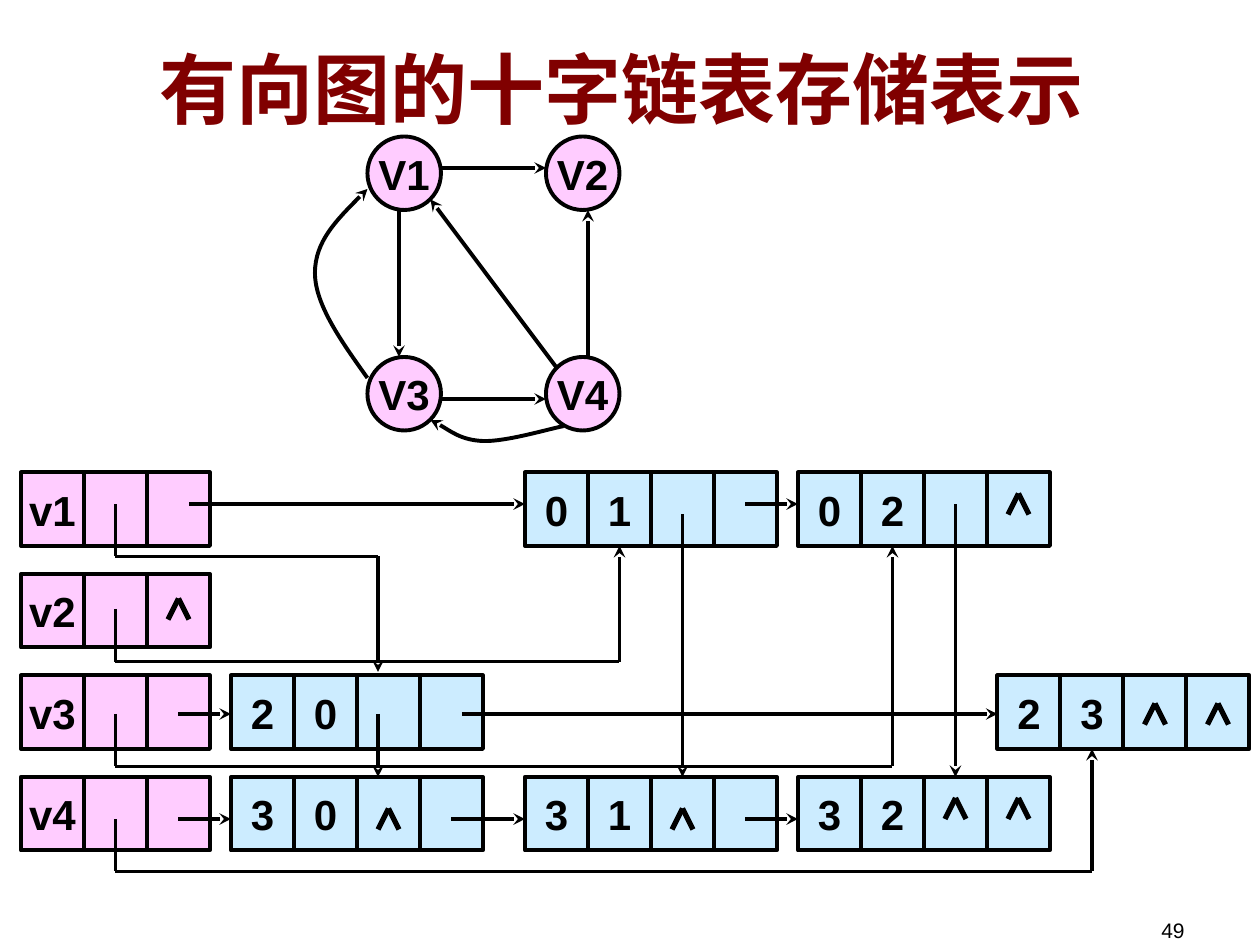
from lxml import etree
from pptx import Presentation
from pptx.dml.color import RGBColor
from pptx.enum.shapes import MSO_CONNECTOR, MSO_SHAPE
from pptx.enum.text import MSO_ANCHOR, PP_ALIGN
from pptx.oxml.ns import qn
from pptx.util import Pt

STRAIGHT = MSO_CONNECTOR.STRAIGHT
OVAL, RECT = MSO_SHAPE.OVAL, MSO_SHAPE.RECTANGLE
MIDDLE, BOTTOM = MSO_ANCHOR.MIDDLE, MSO_ANCHOR.BOTTOM
CENTER, RIGHT = PP_ALIGN.CENTER, PP_ALIGN.RIGHT
rgb = RGBColor.from_string
BLACK, PINK, BLUE = "000000", "FFCCFF", "CCECFF"
CELL_W, CELL_H = 36, 42
ROWS = [270 + 58 * i for i in range(4)]

prs = Presentation()
prs.slide_width, prs.slide_height = Pt(720), Pt(540)
slide = prs.slides.add_slide(prs.slide_layouts[6])
shapes = slide.shapes
joins = {}  # middle of a cell's top or bottom side -> (cell, site)


def add_box(kind, x, y, w, h, fill, text):
    s = shapes.add_shape(kind, Pt(x), Pt(y), Pt(w), Pt(h))
    s.shadow.inherit = False
    s.fill.solid()
    s.fill.fore_color.rgb = rgb(fill)
    s.line.color.rgb = rgb(BLACK)
    s.line.width = Pt(2.25)
    if text:
        tf = s.text_frame
        tf.word_wrap = False
        tf.vertical_anchor = MIDDLE
        p = tf.paragraphs[0]
        p.text = text
        p.alignment = CENTER
        p.font.name, p.font.size, p.font.bold = "Arial", Pt(24), True
        p.font.color.rgb = rgb(BLACK)
    return s


def add_line(x1, y1, x2, y2, width=2.25, arrow=False):
    c = shapes.add_connector(STRAIGHT, Pt(x1), Pt(y1), Pt(x2), Pt(y2))
    c.line.color.rgb = rgb(BLACK)
    c.line.width = Pt(width)
    sp_pr = c._element.spPr
    if arrow:
        etree.SubElement(sp_pr.find(qn("a:ln")), qn("a:tailEnd"), type="stealth")
    etree.SubElement(sp_pr, qn("a:effectLst"))
    if arrow and (x2, y2) in joins:
        c.end_connect(*joins[x2, y2])


# Title and page number
for text, x, y, w, h, anchor, align, font, size, bold, color in [
    ("49", 516, 506, 168, 36, BOTTOM, RIGHT, "Arial", 12, False, BLACK),
    ("有向图的十字链表存储表示 ", 36.5, 9.5, 648, 81, MIDDLE, CENTER,
     "Times New Roman", 44, True, "800000"),
]:
    tf = shapes.add_textbox(Pt(x), Pt(y), Pt(w), Pt(h)).text_frame
    tf.word_wrap = True
    tf.vertical_anchor = anchor
    p = tf.paragraphs[0]
    p.text = text
    p.alignment = align
    p.font.name, p.font.size, p.font.bold = font, Pt(size), bold
    p.font.color.rgb = rgb(color)

# Directed graph: straight edges, then vertices on top
for edge in [
    (246, 96, 312, 96),    # V1 -> V2
    (228, 120, 228, 204),  # V1 -> V3
    (336, 204, 336, 120),  # V4 -> V2
    (318, 210, 246, 114),  # V4 -> V1
    (252, 228, 312, 228),  # V3 -> V4
]:
    add_line(*edge, arrow=True)
for i in range(4):
    add_box(OVAL, 210 + 102 * (i % 2), 78 + 126 * (i // 2), 42, 42, PINK, f"V{i + 1}")

# Curved edges V3 -> V1 and V4 -> V3: start, then three points per Bezier segment
for start, *points in [
    [(210, 216), (195, 195), (180, 174), (180, 156), (180, 138), (195, 123), (210, 108)],
    [(322, 243.5), (314, 245), (289, 252.5), (276, 252), (263.5, 251.5), (251, 242), (246, 240)],
]:
    fb = shapes.build_freeform(Pt(start[0]), Pt(start[1]))
    fb.add_line_segments([(Pt(x), Pt(y)) for x, y in points], close=False)
    s = fb.convert_to_shape()
    s.shadow.inherit = False
    s.fill.background()
    s.line.color.rgb = rgb(BLACK)
    s.line.width = Pt(2.25)
    etree.SubElement(s._element.spPr.find(qn("a:ln")), qn("a:tailEnd"), type="stealth")
    path = next(s._element.iter(qn("a:path")))
    segments = path.findall(qn("a:lnTo"))
    for i in range(0, len(segments), 3):
        bezier = etree.SubElement(path, qn("a:cubicBezTo"))
        for seg in segments[i:i + 3]:
            bezier.append(seg[0])
            path.remove(seg)

# Vertex records (three cells) and arc records (four cells)
records = [(12, y, PINK, [f"v{i + 1}", "", ""]) for i, y in enumerate(ROWS)]
records += [(x, ROWS[row], BLUE, [tail, head, "", ""]) for x, row, tail, head in [
    (132, 2, "2", "0"), (300, 0, "0", "1"), (456, 0, "0", "2"), (300, 3, "3", "1"),
    (456, 3, "3", "2"), (132, 3, "3", "0"), (570, 2, "2", "3"),
]]
for x, y, fill, texts in records:
    for i, text in enumerate(texts):
        left = x + CELL_W * i
        cell = add_box(RECT, left, y, CELL_W, CELL_H, fill, text)
        joins[left + CELL_W / 2, y] = cell, 0
        joins[left + CELL_W / 2, y + CELL_H] = cell, 2

# Null pointers
for x, y in [(582, 282), (102, 342), (660, 402), (696, 402),
             (546, 456), (582, 456), (222, 462), (390, 462)]:
    for dx in (-6, 6):
        add_line(x, y, x + dx, y + 12, width=3)

# Pointers along a row: from x, to x, y
for x1, x2, y in [(108, 300, 288), (426, 456, 288), (102, 132, 408), (264, 570, 408),
                  (102, 132, 468), (258, 300, 468), (426, 456, 468)]:
    add_line(x1, y, x2, y, arrow=True)

# First-in-arc pointers: down from the vertex record, across, then to the arc record
for y, x2, y2 in [(288, 216, 384), (348, 354, 312), (408, 510, 312), (468, 624, 428)]:
    add_line(66, y, 66, y + 30)
    add_line(66, y + 30, x2, y + 30)
    add_line(x2, y + 30, x2, y2, arrow=True)

# Same-head pointers down to the last row
for x, y in [(216, 408), (390, 294), (546, 288)]:
    add_line(x, y, x, ROWS[3], arrow=True)

prs.save("out.pptx")
